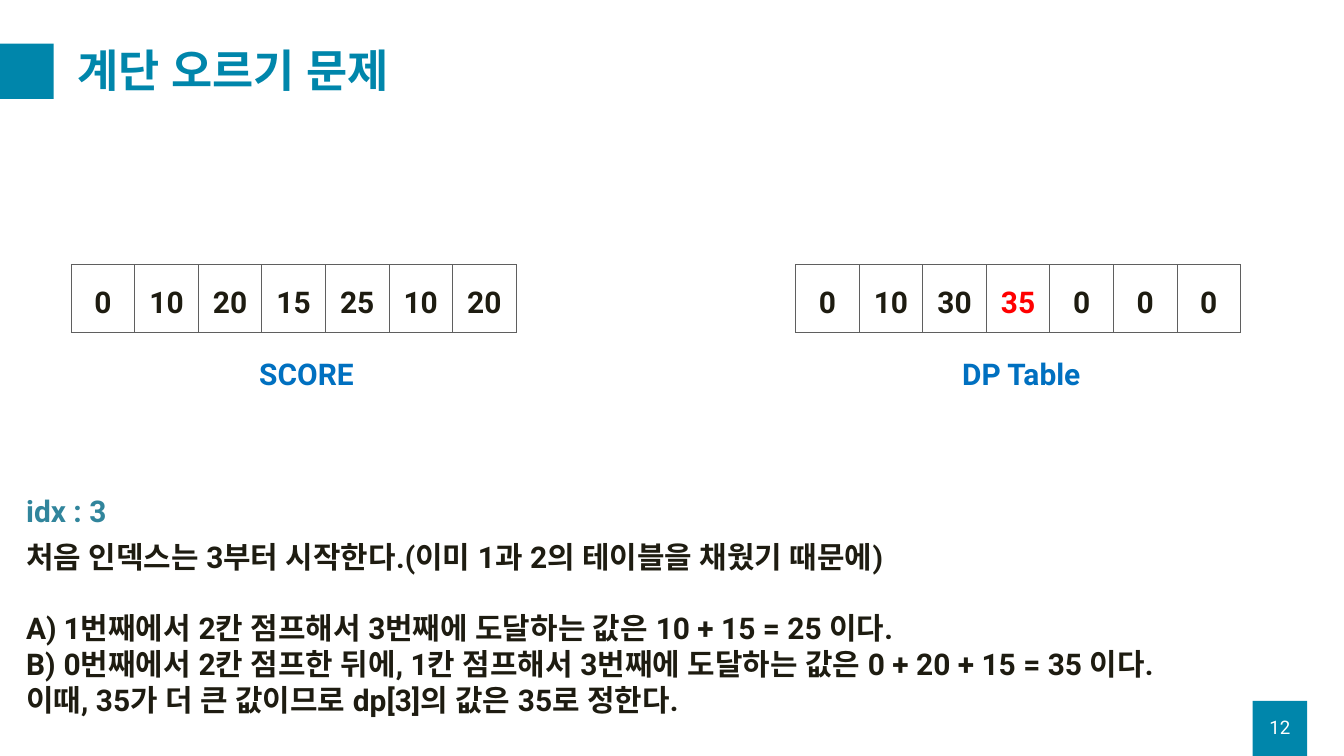
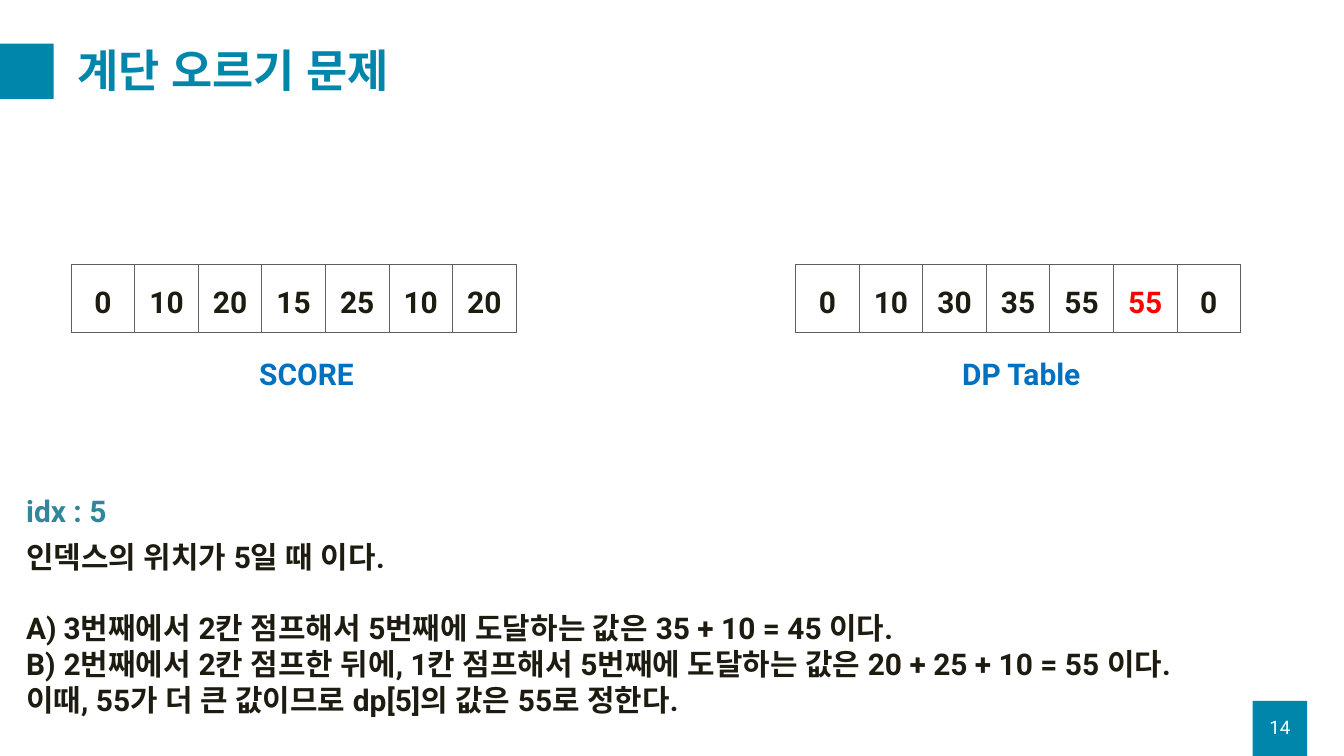
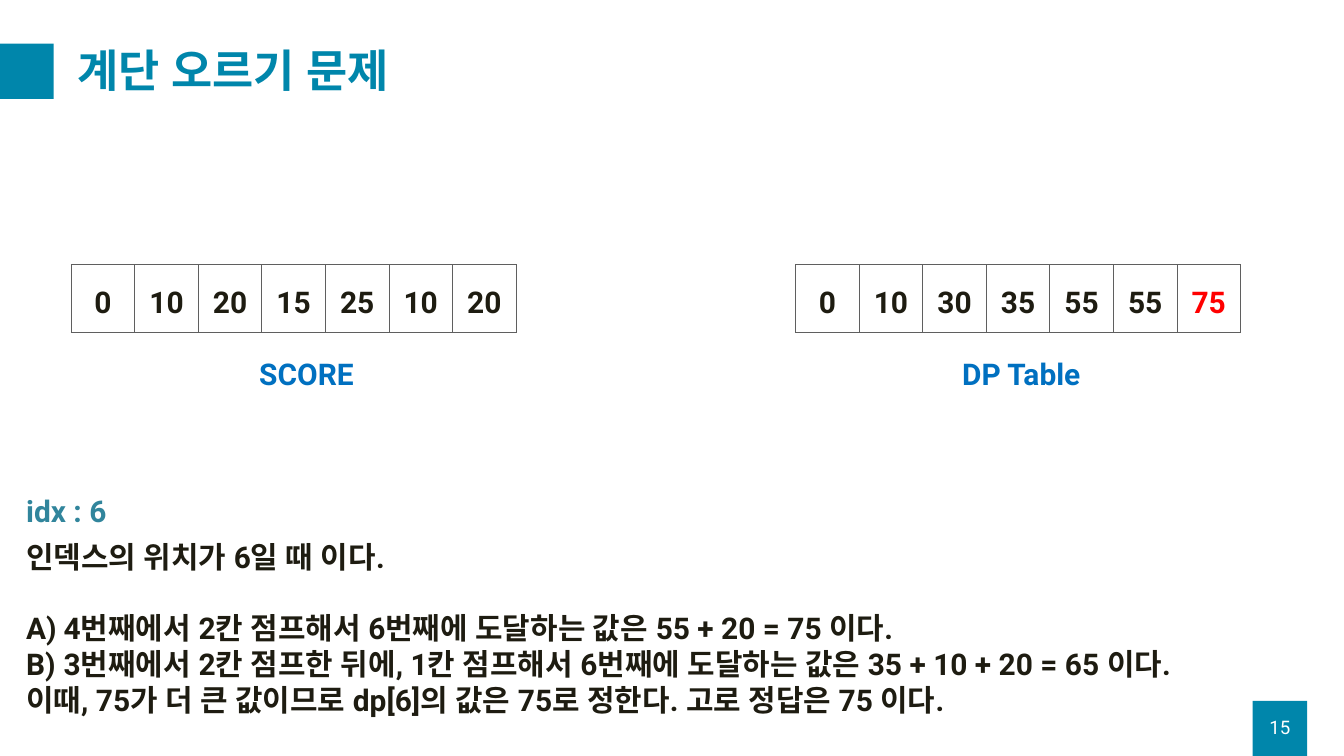
from dataclasses import dataclass

from lxml import etree
from pptx import Presentation
from pptx.dml.color import RGBColor
from pptx.enum.shapes import MSO_SHAPE
from pptx.enum.text import MSO_ANCHOR, MSO_AUTO_SIZE, PP_ALIGN
from pptx.oxml.ns import qn
from pptx.util import Pt

PX = 9144  # 100 px to the inch
RECT = MSO_SHAPE.RECTANGLE
TOP, MIDDLE = MSO_ANCHOR.TOP, MSO_ANCHOR.MIDDLE
CENTER = PP_ALIGN.CENTER
GROW = MSO_AUTO_SIZE.SHAPE_TO_FIT_TEXT


@dataclass(frozen=True)
class Theme:
    font: str = "Roboto"
    teal: str = "0086AB"
    ink: str = "1E1C11"
    blue: str = "0070C0"
    index: str = "31859C"
    red: str = "FF0000"
    white: str = "FFFFFF"
    grid: str = "5F5F5F"
    title: int = 48
    body: int = 32
    page: int = 20


THEME = Theme()


def write(para, text, color, size=THEME.body, bold=True):
    """Add one run, with the same typeface for Latin and Korean."""
    run = para.add_run()
    run.text = text
    font = run.font
    font.size, font.bold, font.name = Pt(size), bold, THEME.font
    font.color.rgb = RGBColor.from_string(color)
    etree.SubElement(run._r.rPr, qn("a:ea"), typeface=THEME.font)


def add_box(slide, left, top, width, height, anchor=TOP):
    """Add an empty text box and return its frame."""
    box = slide.shapes.add_textbox(left * PX, top * PX, width * PX, height * PX)
    frame = box.text_frame
    frame.word_wrap = True
    frame.vertical_anchor = anchor
    if anchor == TOP:
        frame.auto_size = GROW
    return frame


SCORE = [0, 10, 20, 15, 25, 10, 20]
# page, index, table, opening line, sum A, sum B, last words
STEPS = [
    (12, 3, [0, 10, 30, 35, 0, 0, 0],
     "처음 인덱스는 3부터 시작한다.(이미 1과 2의 테이블을 채웠기 때문에)",
     "10 + 15 = 25", "0 + 20 + 15 = 35", ""),
    (14, 5, [0, 10, 30, 35, 55, 55, 0],
     "인덱스의 위치가 5일 때 이다.",
     "35 + 10 = 45", "20 + 25 + 10 = 55", ""),
    (15, 6, [0, 10, 30, 35, 55, 55, 75],
     "인덱스의 위치가 6일 때 이다.",
     "55 + 20 = 75", "35 + 10 + 20 = 65", " 고로 정답은 75 이다."),
]

deck = Presentation()
deck.slide_width, deck.slide_height = 2000 * PX, 1125 * PX
blank = deck.slide_layouts[6]

for page, idx, dp, intro, sum_a, sum_b, ending in STEPS:
    slide = deck.slides.add_slide(blank)

    # Teal squares, title and page number
    for left, top in [(1864, 1043), (-1, 65)]:
        square = slide.shapes.add_shape(RECT, left * PX, top * PX, 81 * PX, 82 * PX)
        square.shadow.inherit = False
        square.fill.solid()
        square.fill.fore_color.rgb = RGBColor.from_string(THEME.teal)
        square.line.fill.background()
    para = add_box(slide, 106, 50, 1825, 118, MIDDLE).paragraphs[0]
    para.line_spacing = 0.9
    write(para, "계단 오르기 문제", THEME.teal, THEME.title)
    para = add_box(slide, 1864, 1052, 81, 60, MIDDLE).paragraphs[0]
    para.alignment = CENTER
    write(para, str(page), THEME.white, THEME.page, False)

    # Score and DP rows, each with its label
    for name, values, left, label, mark in [
        ("SCORE", SCORE, 106, 376, None),
        ("DP Table", dp, 1184, 1422, idx),
    ]:
        count = len(values)
        table = slide.shapes.add_table(
            1, count, left * PX, 394 * PX, 662 * PX, 101 * PX).table
        table.first_row = table.horz_banding = False
        for col, value in enumerate(values):
            table.columns[col].width = 662 * PX // count
            cell = table.cell(0, col)
            props = cell._tc.get_or_add_tcPr()
            for side in ("lnL", "lnR", "lnT", "lnB"):
                line = etree.SubElement(props, qn(f"a:{side}"), w=str(Pt(1)))
                fill = etree.SubElement(line, qn("a:solidFill"))
                etree.SubElement(fill, qn("a:srgbClr"), val=THEME.grid)
            cell.fill.background()
            para = cell.text_frame.paragraphs[0]
            para.alignment = CENTER
            para.line_spacing = 1.5
            write(para, str(value), THEME.red if col == mark else THEME.ink)
        para = add_box(slide, label, 524, 314, 64).paragraphs[0]
        write(para, name, THEME.blue)

    # Explanation of this index
    para = add_box(slide, 29, 728, 580, 64).paragraphs[0]
    write(para, f"idx : {idx}", THEME.index)
    frame = add_box(slide, 29, 797, 1916, 279)
    write(frame.paragraphs[0], intro, THEME.ink)
    jumps = [
        f"{idx - 2}번째에서 2칸 점프해서 {idx}번째에 도달하는 값은 {sum_a} 이다.",
        f"{idx - 3}번째에서 2칸 점프한 뒤에, 1칸 점프해서 {idx}번째에 도달하는 값은 {sum_b} 이다.",
    ]
    if idx == 5:
        assert jumps[1].startswith("2")
    for order, jump in enumerate(jumps):
        para = frame.add_paragraph()
        props = para._p.get_or_add_pPr()
        props.set("marL", str(56 * PX))
        props.set("indent", str(-56 * PX))
        etree.SubElement(props, qn("a:buAutoNum"), type="alphaUcParenR")
        if order == 0:
            para.space_before = Pt(37.5)
        write(para, jump, THEME.ink)
    best = dp[idx]
    write(frame.add_paragraph(),
          f"이때, {best}가 더 큰 값이므로 dp[{idx}]의 값은 {best}로 정한다.{ending}",
          THEME.ink)

deck.save("out.pptx")
